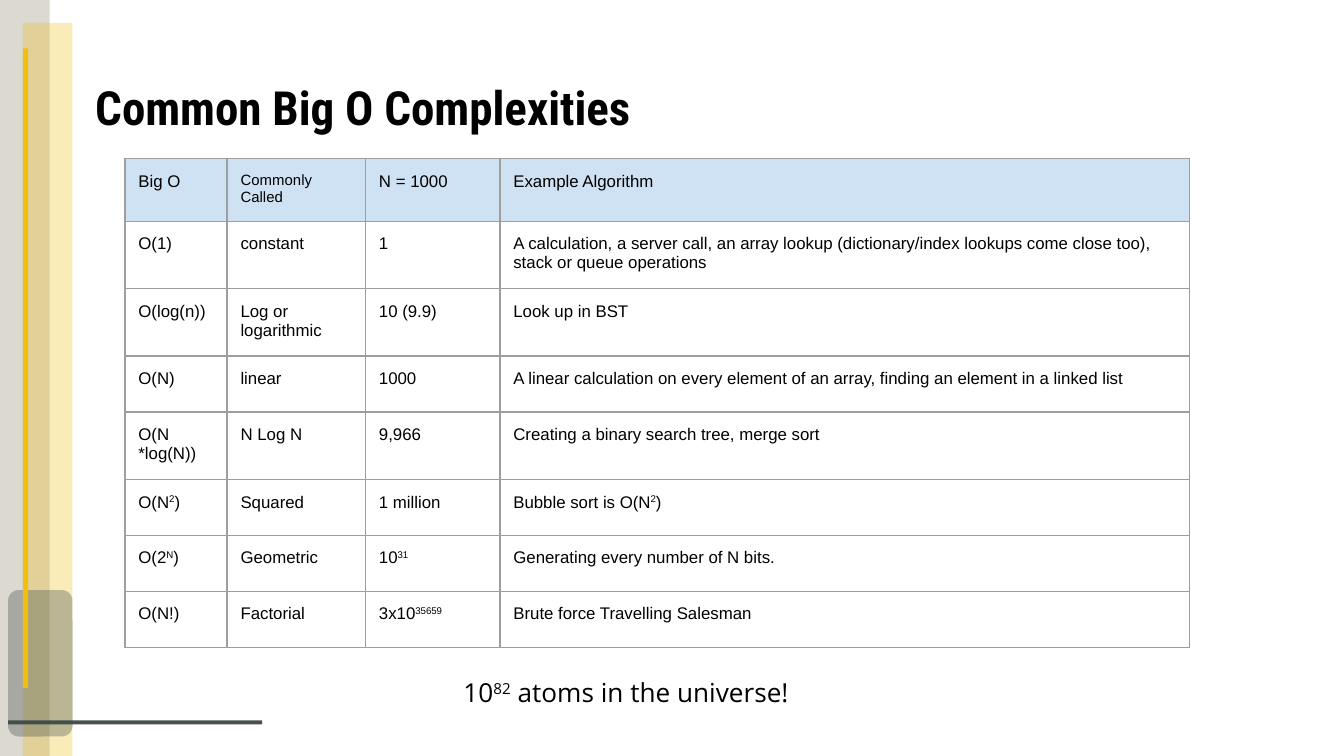
from dataclasses import dataclass

from lxml import etree
from pptx import Presentation
from pptx import util as u
from pptx.dml.color import RGBColor
from pptx.enum import shapes, text
from pptx.oxml import ns

Inches = u.Inches


@dataclass(frozen=True)
class Theme:
    ink: str = "000000"
    stone: str = "DCD9D0"
    gold: str = "F0BF11"
    slate: str = "3F4B49"
    header: str = "CFE2F3"
    border: str = "9E9E9E"
    title_font: str = "Roboto Condensed"
    table_font: str = "Arial"
    caption_font: str = "Open Sans"
    title_size: float = 25.2
    table_size: float = 9
    small_size: float = 8
    caption_size: float = 14
    inset: float = 0.1
    border_width: float = 0.75


THEME = Theme()
COLUMN_WIDTHS = [0.76, 1.03, 1.0, 5.13]
ROW_HEIGHT = 5 / 12
# Text between carets is superscript
ROWS = [
    ["Big O", "Commonly Called", "N = 1000", "Example Algorithm"],
    ["O(1)", "constant", "1",
     "A calculation, a server call, an array lookup (dictionary/index lookups "
     "come close too), stack or queue operations"],
    ["O(log(n))", "Log or logarithmic", "10 (9.9)", "Look up in BST"],
    ["O(N)", "linear", "1000",
     "A linear calculation on every element of an array, finding an element in a linked list"],
    ["O(N *log(N))", "N Log N", "9,966", "Creating a binary search tree, merge sort"],
    ["O(N^2^)", "Squared", "1 million", "Bubble sort is O(N^2^)"],
    ["O(2^N^)", "Geometric", "10^31^", "Generating every number of N bits."],
    ["O(N!)", "Factorial", "3x10^35659^", "Brute force Travelling Salesman"],
]


def add_element(parent, tag, **attributes):
    return etree.SubElement(parent, ns.qn(tag), attributes)


def write_text(paragraph, content, font_name, size, bold=False):
    """Write the content as runs, raising every part between carets."""
    for index, part in enumerate(content.split("^")):
        if not part:
            continue
        run = paragraph.add_run()
        run.text = part
        run.font.name = font_name
        run.font.size = u.Pt(size)
        run.font.bold = bold
        run.font.color.rgb = RGBColor.from_string(THEME.ink)
        if index % 2:
            run.font._element.set("baseline", "30000")


def set_margins(target):
    target.margin_left = target.margin_right = Inches(THEME.inset)
    target.margin_top = target.margin_bottom = Inches(THEME.inset)


def add_block(slide, kind, box, color, opacity=100):
    shape = slide.shapes.add_shape(kind, *map(Inches, box))
    shape.shadow.inherit = False
    shape.line.fill.background()
    shape.fill.solid()
    shape.fill.fore_color.rgb = RGBColor.from_string(color)
    if opacity < 100:
        color_element = shape.fill._xPr.find(".//" + ns.qn("a:srgbClr"))
        add_element(color_element, "a:alpha", val=str(opacity * 1000))


def add_side_decoration(slide, left, top, height):
    rectangle = shapes.MSO_SHAPE.RECTANGLE
    rounded = shapes.MSO_SHAPE.ROUNDED_RECTANGLE
    offset = 0.17
    add_block(slide, rectangle, (left, top, 0.37, height), THEME.stone)
    add_block(slide, rectangle, (left + offset, top + offset, 0.37, height - offset),
              THEME.gold, 29)
    add_block(slide, rounded, (left + 0.06, top + 4.39, 0.48, 1.09), THEME.slate, 34)
    add_block(slide, rectangle, (left + offset, top + 0.36, 0.04, 4.76), THEME.gold)
    add_block(slide, rectangle, (left + 0.06, top + 5.36, 1.89, 0.03), THEME.slate, 96)


def add_text(slide, box, content, font_name, size, bold=False):
    text_frame = slide.shapes.add_textbox(*map(Inches, box)).text_frame
    text_frame.word_wrap = True
    text_frame.vertical_anchor = text.MSO_ANCHOR.MIDDLE
    set_margins(text_frame)
    write_text(text_frame.paragraphs[0], content, font_name, size, bold)


def add_cell_borders(cell):
    properties = cell._tc.get_or_add_tcPr()
    for side in ("a:lnL", "a:lnR", "a:lnT", "a:lnB"):
        line = add_element(properties, side, w=str(u.Pt(THEME.border_width)))
        add_element(add_element(line, "a:solidFill"), "a:srgbClr", val=THEME.border)


def add_complexity_table(slide, left, top, width, height):
    frame = slide.shapes.add_table(
        len(ROWS), len(COLUMN_WIDTHS), *map(Inches, (left, top, width, height)))
    table = frame.table
    table.first_row = table.horz_banding = False
    for column, column_width in zip(table.columns, COLUMN_WIDTHS):
        column.width = Inches(column_width)
    for row_index, values in enumerate(ROWS):
        table.rows[row_index].height = Inches(ROW_HEIGHT)
        for column_index, value in enumerate(values):
            cell = table.cell(row_index, column_index)
            set_margins(cell)
            add_cell_borders(cell)
            if row_index == 0:
                cell.fill.solid()
                cell.fill.fore_color.rgb = RGBColor.from_string(THEME.header)
            else:
                cell.fill.background()
            is_small = (row_index, column_index) == (0, 1)
            write_text(cell.text_frame.paragraphs[0], value, THEME.table_font,
                       THEME.small_size if is_small else THEME.table_size)
    # The rows grow from a compact frame to fit their text
    frame.width, frame.height = Inches(width), Inches(height)


def main():
    presentation = Presentation()
    presentation.slide_width = Inches(10)
    presentation.slide_height = Inches(10 * 9 / 16)
    slide = presentation.slides.add_slide(presentation.slide_layouts[6])

    # Side decoration
    add_side_decoration(slide, 0, 0, presentation.slide_height.inches)
    # Title
    add_text(slide, (0.61, 0.48, 9.32, 0.63), "Common Big O Complexities",
             THEME.title_font, THEME.title_size, bold=True)
    # Table of complexities
    add_complexity_table(slide, 0.93, 1.18, 3.28, 3.28)
    # Closing remark
    add_text(slide, (3.35, 4.93, 3.42, 0.44), "10^82^ atoms in the universe!",
             THEME.caption_font, THEME.caption_size)

    presentation.save("out.pptx")


if __name__ == "__main__":
    main()
